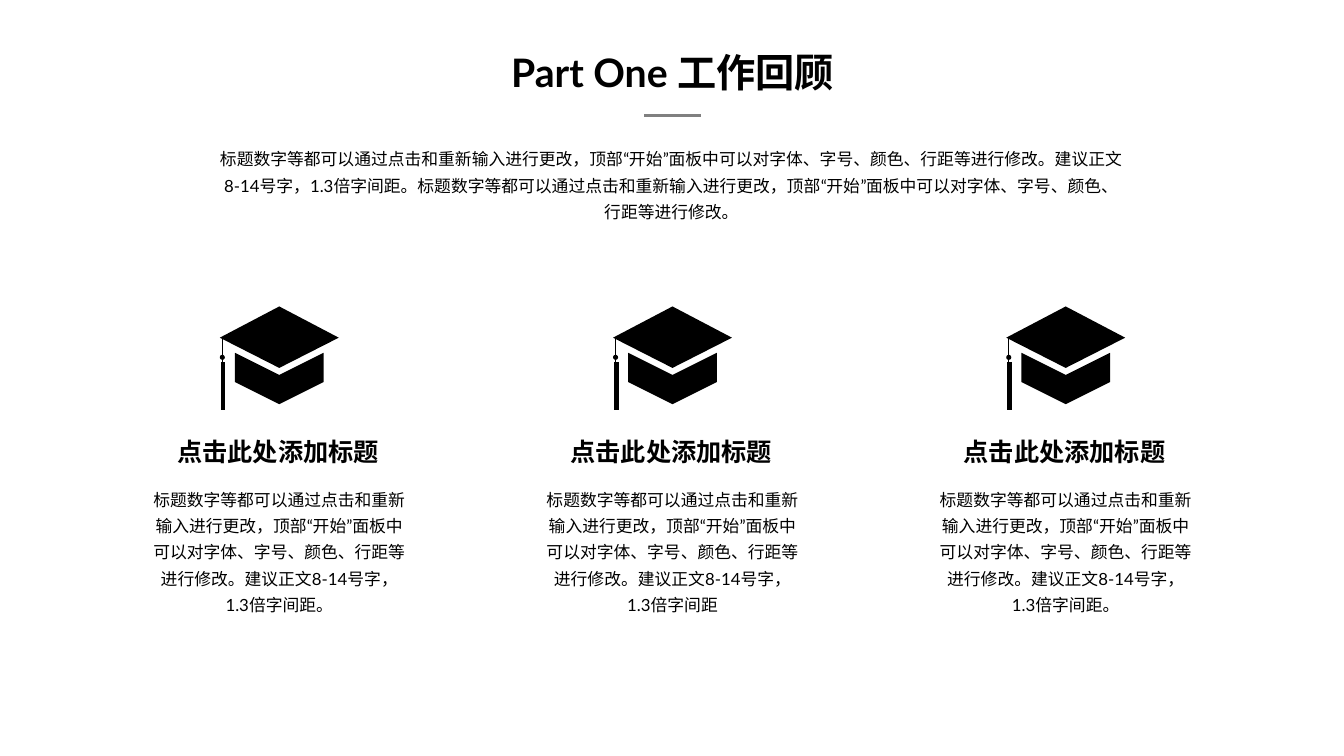
from lxml import etree
from pptx import Presentation
from pptx.dml.color import RGBColor
from pptx.enum.shapes import MSO_CONNECTOR, MSO_SHAPE
from pptx.enum.text import MSO_AUTO_SIZE, PP_ALIGN
from pptx.oxml.ns import qn
from pptx.util import Inches, Pt

COLORS = {"ink": "000000", "rule": "808080"}
FONT = "Lato"
ADVICE = "标题数字等都可以通过点击和重新输入进行更改，顶部“开始”面板中可以对字体、字号、颜色、行距等进行修改。"
SIZING = "建议正文8-14号字，1.3倍字间距"

# Cap outlines, measured from the centre of the icon and the top of the slide
CAP_OUTLINES = [
    [(-0.59, 3.35), (0, 3.65), (0.59, 3.35), (0, 3.04)],
    [(0, 3.72), (-0.44, 3.5), (-0.44, 3.79), (0, 4.01), (0.44, 3.79), (0.44, 3.5)],
    [(-0.58, 4.07), (-0.535, 4.07), (-0.535, 3.59), (-0.58, 3.59)],
    [(-0.56, 3.62), (-0.57, 3.62), (-0.57, 3.35), (-0.56, 3.35)],
]

prs = Presentation()
prs.slide_width, prs.slide_height = Inches(13.33), Inches(7.5)
slide = prs.slides.add_slide(prs.slide_layouts[6])


def add_text(text, left, top, width, height, size, bold=False, wrap=True,
             align=PP_ALIGN.CENTER, line_spacing=1.3):
    box = slide.shapes.add_textbox(Inches(left), Inches(top), Inches(width), Inches(height))
    frame = box.text_frame
    frame.text = text
    frame.word_wrap = wrap
    frame.auto_size = MSO_AUTO_SIZE.SHAPE_TO_FIT_TEXT
    paragraph = frame.paragraphs[0]
    paragraph.alignment = align
    paragraph.line_spacing = line_spacing
    run = paragraph.runs[0]
    run.font.name, run.font.size, run.font.bold = FONT, Pt(size), bold
    run.font.color.rgb = RGBColor.from_string(COLORS["ink"])
    properties = run._r.get_or_add_rPr()
    properties.set("lang", "zh-CN")
    etree.SubElement(properties, qn("a:ea")).set("typeface", FONT)


def paint_ink(part):
    part.shadow.inherit = False
    part.fill.solid()
    part.fill.fore_color.rgb = RGBColor.from_string(COLORS["ink"])
    part.line.fill.background()


# Heading
title_rule = slide.shapes.add_connector(
    MSO_CONNECTOR.STRAIGHT, Inches(6.39), Inches(1.15), Inches(6.95), Inches(1.15))
title_rule.line.color.rgb = RGBColor.from_string(COLORS["rule"])
title_rule.line.width = Pt(2.25)
etree.SubElement(title_rule._element.spPr, qn("a:effectLst"))
add_text("Part One 工作回顾", 2.77, 0.43, 7.8, 0.57, 28, bold=True, line_spacing=1.0)
add_text(ADVICE + SIZING + "。" + ADVICE, 2.06, 1.37, 9.2, 0.89, 12)

# Three columns: graduation cap, heading, body
for column, ending in enumerate(["。", "", "。"]):
    center = 2.77 + 3.9 * column
    cap = slide.shapes.add_group_shape()
    for outline in CAP_OUTLINES:
        points = [(Inches(center + x), Inches(y)) for x, y in outline]
        builder = cap.shapes.build_freeform(*points[0])
        builder.add_line_segments(points[1:], close=True)
        paint_ink(builder.convert_to_shape())
    tassel_knot = cap.shapes.add_shape(
        MSO_SHAPE.OVAL, Inches(center - 0.59), Inches(3.52), Inches(0.05), Inches(0.05))
    paint_ink(tassel_knot)
    add_text("点击此处添加标题", center - 1.11, 4.19, 2.22, 0.46, 18,
             bold=True, wrap=False, align=PP_ALIGN.LEFT)
    add_text(ADVICE + SIZING + ending, center - 1.36, 4.75, 2.72, 1.41, 12)

prs.save("out.pptx")
